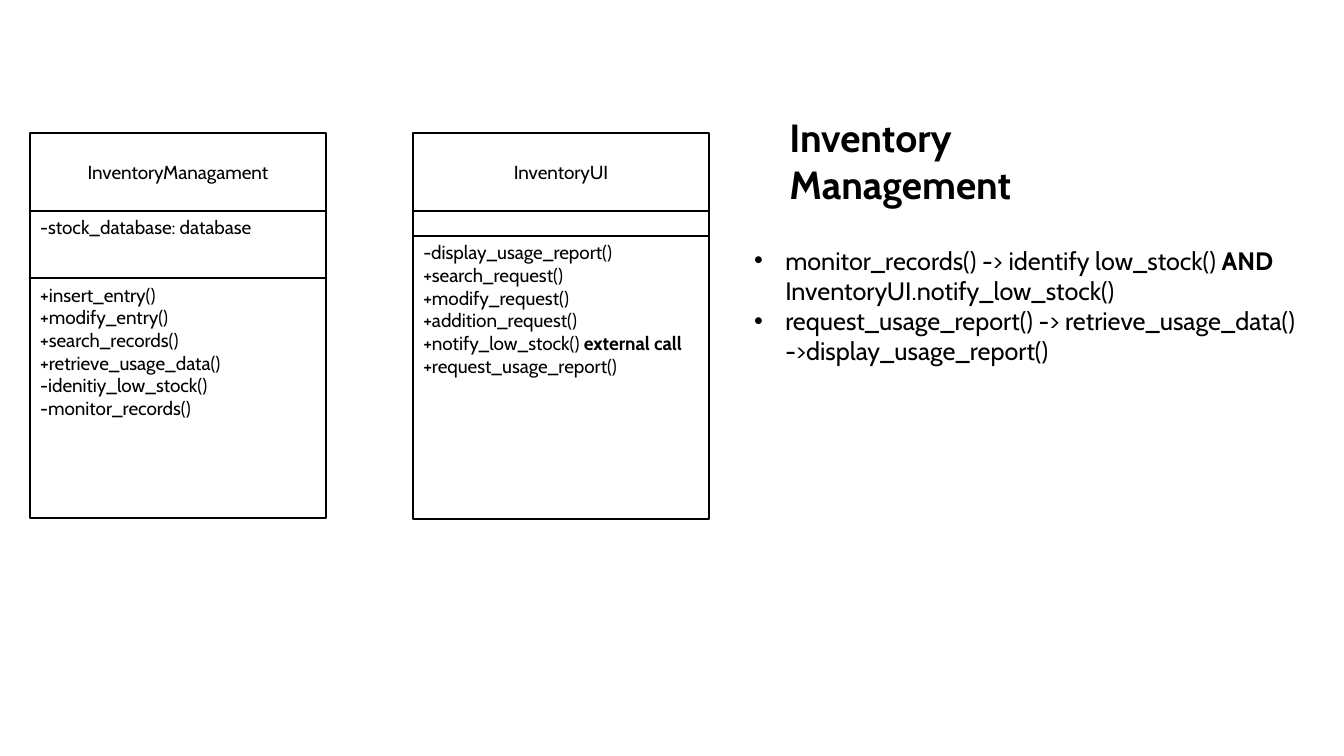
from lxml import etree
from pptx import Presentation
from pptx.dml.color import RGBColor
from pptx.enum.shapes import MSO_SHAPE
from pptx.enum.text import MSO_ANCHOR, MSO_AUTO_SIZE, PP_ALIGN
from pptx.oxml.ns import qn
from pptx.util import Inches, Pt

RECTANGLE = MSO_SHAPE.RECTANGLE
TOP, MIDDLE = MSO_ANCHOR.TOP, MSO_ANCHOR.MIDDLE
LEFT, CENTER = PP_ALIGN.LEFT, PP_ALIGN.CENTER
NO_FIT, GROW = MSO_AUTO_SIZE.NONE, MSO_AUTO_SIZE.SHAPE_TO_FIT_TEXT
BLACK = RGBColor(0, 0, 0)
WHITE = RGBColor(255, 255, 255)
FONT = "Cabin"

TITLE = "Inventory Management"
FLOWS = [
    [("monitor_records() -> identify low_stock() ", False), ("AND ", True),
     ("InventoryUI.notify_low_stock()", False)],
    ["request_usage_report() -> retrieve_usage_data() ->display_usage_report()"],
]
CLASSES = [
    {"left": 0.3, "name": "InventoryManagament", "heights": (0.77, 0.67, 2.38),
     "attributes": ["-stock_database: database"],
     "methods": ["+insert_entry()", "+modify_entry()", "+search_records()",
                 "+retrieve_usage_data()", "-idenitiy_low_stock()", "-monitor_records()"]},
    {"left": 4.1, "name": "InventoryUI", "heights": (0.77, 0.25, 2.81),
     "attributes": [],
     "methods": ["-display_usage_report()", "+search_request()", "+modify_request()",
                 "+addition_request()",
                 [("+notify_low_stock() ", False), ("external call", True)],
                 "+request_usage_report()"]},
]
CLASS_TOP, CLASS_WIDTH = 1.32, 2.93
BULLET_INDENT = Inches(0.31)


def write(shape, lines, size, bold=False, align=LEFT, anchor=TOP, fit=NO_FIT, bullet=None):
    frame = shape.text_frame
    frame.word_wrap = True
    frame.auto_size = fit
    frame.vertical_anchor = anchor
    for index, line in enumerate(lines):
        para = frame.add_paragraph() if index else frame.paragraphs[0]
        para.alignment = align
        for item in [line] if isinstance(line, str) else line:
            text, heavy = (item, bold) if isinstance(item, str) else item
            span = para.add_run()
            span.text = text
            span.font.name = FONT
            span.font.size = Pt(size)
            span.font.bold = heavy
            span.font.color.rgb = BLACK
        if bullet:
            properties = para._p.get_or_add_pPr()
            properties.set("marL", str(BULLET_INDENT))
            properties.set("indent", str(-BULLET_INDENT))
            etree.SubElement(properties, qn("a:buFont")).set("typeface", "Arial")
            etree.SubElement(properties, qn("a:buChar")).set("char", bullet)


def add_class(page, diagram):
    group = page.shapes.add_group_shape()
    sections = [([diagram["name"]], CENTER, MIDDLE),
                (diagram["attributes"], LEFT, TOP),
                (diagram["methods"], LEFT, TOP)]
    top = CLASS_TOP
    for (lines, align, anchor), height in zip(sections, diagram["heights"]):
        box = group.shapes.add_shape(RECTANGLE, Inches(diagram["left"]), Inches(top),
                                     Inches(CLASS_WIDTH), Inches(height))
        box.shadow.inherit = False
        box.fill.background()
        box.line.color.rgb = BLACK
        box.line.width = Pt(1.5)
        write(box, lines, 13.5, align=align, anchor=anchor)
        top += height


def main():
    deck = Presentation()
    deck.slide_width, deck.slide_height = Inches(13.33), Inches(7.5)
    page = deck.slides.add_slide(deck.slide_layouts[5])
    page.background.fill.solid()
    page.background.fill.fore_color.rgb = WHITE

    for diagram in CLASSES:
        add_class(page, diagram)

    flows = page.shapes.add_textbox(Inches(7.38), Inches(2.38), Inches(5.72), Inches(1.92))
    write(flows, FLOWS, 18, fit=GROW, bullet="•")

    title = page.shapes.title
    title.left, title.top = Inches(7.73), Inches(1.07)
    title.width, title.height = Inches(3.73), Inches(1.04)
    write(title, [TITLE], 28, bold=True, fit=GROW)

    deck.save("out.pptx")


if __name__ == "__main__":
    main()
